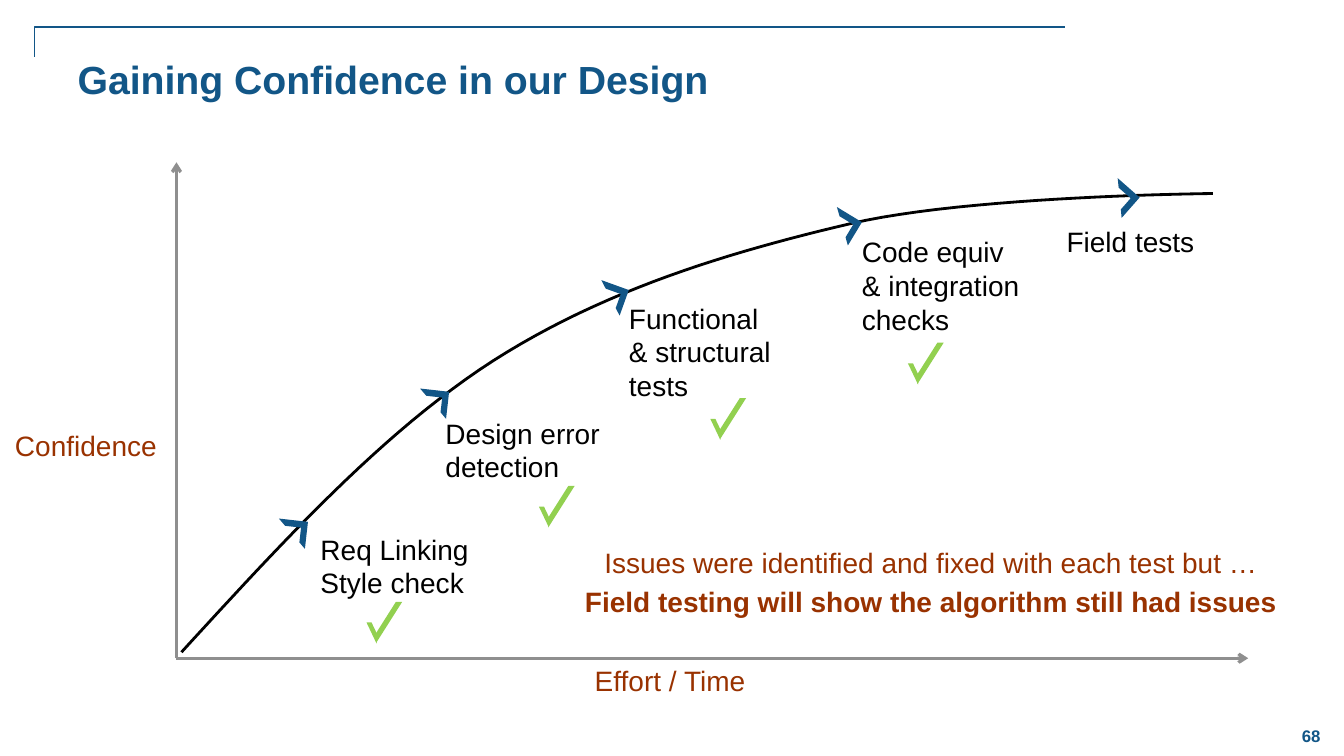
from pptx import Presentation
from pptx.dml.color import RGBColor
from pptx.enum.shapes import MSO_CONNECTOR as CONN, MSO_SHAPE as SHAPE
from pptx.enum.text import MSO_ANCHOR as ANCHOR, MSO_AUTO_SIZE as FIT, PP_ALIGN as ALIGN
from pptx.oxml.ns import qn
from pptx.util import Inches, Pt
from lxml.etree import SubElement

BLUE, RUST, GRAY, GREEN, BLACK = "125687", "993200", "8F8F8F", "92D050", "000000"

# Curve as cubic segments: two handles and an end point each
CURVE_START = (1.8, 6.47)
CURVE = [
    ((2.8, 5.38), (3.79, 4.29), (4.89, 3.58)),
    ((6, 2.87), (7.24, 2.5), (8.43, 2.22)),
    ((9.62, 1.94), (12.03, 1.92), (12.03, 1.92)),
]
# Stage labels: left, top, width, height, paragraphs
STAGES = [
    (3.08, 5.23, 1.75, 0.77, ["Req Linking", "Style check"]),
    (4.32, 4.08, 1.8, 0.77, ["Design error detection"]),
    (6.14, 2.94, 1.8, 1.11, ["Functional\v& structural tests"]),
    (8.45, 2.28, 1.8, 1.11, ["Code equiv & integration checks"]),
    (10.48, 2.18, 1.8, 0.44, ["Field tests"]),
]
# Chevrons on the curve: left, top, rotation
CHEVRONS = [(2.76, 5.15, 96.4), (4.16, 3.86, 96.4), (5.92, 2.81, 109.8),
            (8.22, 2.1, 121.2), (10.97, 1.82, 131.4)]
CHECKS = [(3.58, 5.97), (5.29, 4.82), (6.99, 3.95), (8.95, 3.4)]


def rgb(value):
    return RGBColor.from_string(value)


def format_paragraph(p, text, color, size=20, bold=False, align=ALIGN.LEFT):
    p.text = text
    p.alignment = align
    values = {"name": "Arial", "size": Pt(size), "bold": bold}
    for r in p.runs:
        for name, value in values.items():
            setattr(r.font, name, value)
        r.font.color.rgb = rgb(color)


def add_text(s, x, y, w, h, lines, color, **style):
    tf = s.shapes.add_textbox(Inches(x), Inches(y), Inches(w), Inches(h)).text_frame
    tf.word_wrap = True
    for i, line in enumerate(lines):
        p = tf.paragraphs[0] if i == 0 else tf.add_paragraph()
        format_paragraph(p, line, color, **style)
    return tf


def add_title(s, text):
    title = s.shapes.title
    box = {"left": 0.67, "top": 0.5, "width": 11.78, "height": 1.08}
    for name, value in box.items():
        setattr(title, name, Inches(value))
    tf = title.text_frame
    tf.auto_size = FIT.NONE
    tf.vertical_anchor = ANCHOR.TOP
    format_paragraph(tf.paragraphs[0], text, BLUE, size=28, bold=True)


def add_outline(s, points, color, width):
    points = [(Inches(x), Inches(y)) for x, y in points]
    builder = s.shapes.build_freeform(*points[0])
    builder.add_line_segments(points[1:], close=False)
    sp = builder.convert_to_shape()
    sp.shadow.inherit = False
    sp.fill.background()
    sp.line.color.rgb = rgb(color)
    sp.line.width = Pt(width)


def curve_points(start, segments, steps=24):
    points = [start]
    for a, b, end in segments:
        first = points[-1]
        for i in range(1, steps + 1):
            t = i / steps
            weights = ((1 - t) ** 3, 3 * t * (1 - t) ** 2, 3 * t * t * (1 - t), t ** 3)
            points.append(tuple(
                sum(k * q[axis] for k, q in zip(weights, (first, a, b, end)))
                for axis in (0, 1)))
    return points


def add_axis(s, x, y):
    axis = s.shapes.add_connector(CONN.STRAIGHT, Inches(1.75), Inches(6.53), Inches(x), Inches(y))
    axis.line.color.rgb = rgb(GRAY)
    axis.line.width = Pt(2.25)
    SubElement(axis.line._get_or_add_ln(), qn("a:tailEnd"), type="arrow")
    SubElement(axis._element.spPr, qn("a:effectLst"))


def add_mark(shapes, kind, x, y, w, h, color, rotation=0, adjust=()):
    sp = shapes.add_shape(kind, Inches(x), Inches(y), Inches(w), Inches(h))
    sp.shadow.inherit = False
    sp.rotation = rotation
    sp.fill.solid()
    sp.fill.fore_color.rgb = rgb(color)
    sp.line.fill.background()
    for i, value in enumerate(adjust):
        sp.adjustments[i] = value


def add_check(s, x, y):
    shapes = s.shapes.add_group_shape().shapes
    add_mark(shapes, SHAPE.DIAGONAL_STRIPE, x + 0.15, y, 0.26, 0.41, GREEN, adjust=[0.76])
    add_mark(shapes, SHAPE.DIAGONAL_STRIPE, x, y + 0.26, 0.21, 0.1, GREEN, rotation=90)


def main():
    prs = Presentation()
    prs.slide_width, prs.slide_height = Inches(13.33), Inches(7.5)
    s = prs.slides.add_slide(prs.slide_layouts[5])

    # Frame, page number and title
    add_outline(s, [(10.56, 0.27), (0.34, 0.27), (0.34, 0.57)], BLUE, 1)
    number = add_text(s, 12.67, 7.09, 0.67, 0.42, ["68"], BLUE,
                      size=12, bold=True, align=ALIGN.CENTER)
    number.vertical_anchor = ANCHOR.MIDDLE
    add_title(s, "Gaining Confidence in our Design")

    # Curve and axes
    add_outline(s, curve_points(CURVE_START, CURVE), BLACK, 2)
    add_axis(s, 12.38, 6.53)
    add_axis(s, 1.75, 1.61)
    add_text(s, 5.8, 6.53, 1.75, 0.44, ["Effort / Time"], RUST)
    add_text(s, 0.05, 4.2, 1.65, 0.44, ["Confidence"], RUST)

    # Stages, chevrons and check marks
    for x, y, w, h, lines in STAGES:
        add_text(s, x, y, w, h, lines, BLACK)
    for x, y, rotation in CHEVRONS:
        add_mark(s.shapes, SHAPE.HALF_FRAME, x, y, 0.27, 0.29, BLUE, rotation, [0.23, 0.24])
    for x, y in CHECKS:
        add_check(s, x, y)

    # Conclusion
    tf = add_text(s, 5.67, 5.36, 7.13, 0.89,
                  ["Issues were identified and fixed with each test but …",
                   "Field testing will show the algorithm still had issues"],
                  RUST, align=ALIGN.CENTER)
    closing = tf.paragraphs[1]
    closing.space_before = Pt(4)
    closing.runs[0].font.bold = True

    prs.save("out.pptx")


if __name__ == "__main__":
    main()
